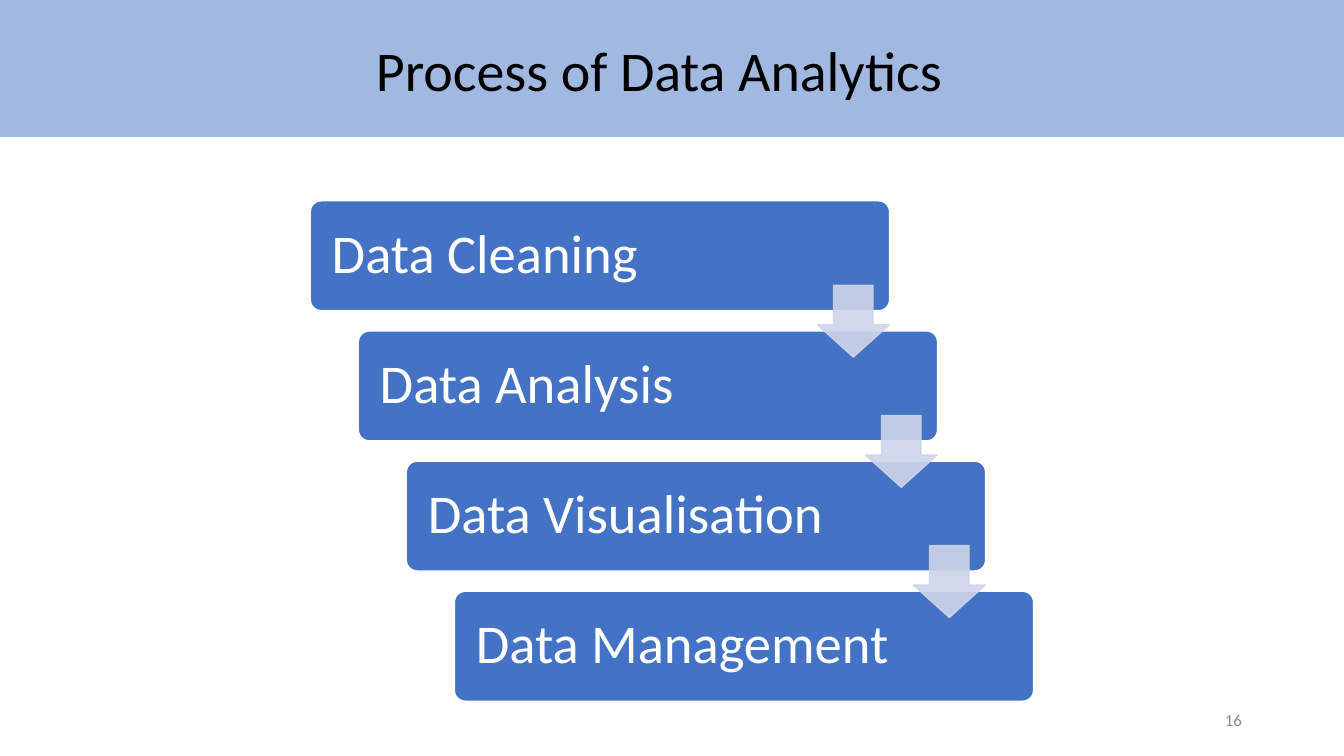
import pptx
import pptx.util
import pptx.dml.color
import pptx.enum.shapes
import pptx.enum.text
import pptx.oxml.ns
from lxml import etree

Cm, Pt = pptx.util.Cm, pptx.util.Pt
RGBColor = pptx.dml.color.RGBColor
MSO_SHAPE = pptx.enum.shapes.MSO_SHAPE
PP_ALIGN = pptx.enum.text.PP_ALIGN
MSO_ANCHOR = pptx.enum.text.MSO_ANCHOR
qn = pptx.oxml.ns.qn

TITLE = "Process of Data Analytics"
STEPS = ["Data Cleaning", "Data Analysis", "Data Visualisation", "Data Management"]
PAGE = "16"

BLUE = RGBColor(0x44, 0x72, 0xC4)
PALE = RGBColor(0xCF, 0xD5, 0xEA)
WHITE = RGBColor(0xFF, 0xFF, 0xFF)
BLACK = RGBColor(0, 0, 0)
GREY = RGBColor(0x8C, 0x8C, 0x8C)

SLIDE_W, SLIDE_H = 33.87, 19.05
BOX_X, BOX_Y, BOX_W, BOX_H = 7.82, 5.06, 14.6, 2.77
STEP_X, STEP_Y = 1.21, 3.28
ARROW_X, ARROW_Y, ARROW_SIZE = 20.6, 7.19, 1.81


def add_filled(shapes, kind, x, y, w, h, fill, line=None, opacity=100):
    sp = shapes.add_shape(kind, Cm(x), Cm(y), Cm(w), Cm(h))
    sp.shadow.inherit = False
    sp.fill.solid()
    sp.fill.fore_color.rgb = fill
    if line is None:
        sp.line.fill.background()
    else:
        sp.line.color.rgb = line
        sp.line.width = Pt(1)
    if opacity < 100:
        for clr in sp._element.spPr.iter(qn("a:srgbClr")):
            etree.SubElement(clr, qn("a:alpha"), val=str(opacity * 1000))
    return sp


def write(sp, text, size, color, align=PP_ALIGN.LEFT, anchor=MSO_ANCHOR.MIDDLE):
    tf = sp.text_frame
    tf.word_wrap = True
    tf.vertical_anchor = anchor
    tf.text = text
    p = tf.paragraphs[0]
    p.alignment = align
    p.line_spacing = 0.9
    p.font.size = Pt(size)
    p.font.name = "Calibri"
    p.font.color.rgb = color


prs = pptx.Presentation()
prs.slide_width, prs.slide_height = Cm(SLIDE_W), Cm(SLIDE_H)
slide = prs.slides.add_slide(prs.slide_layouts[5])
shapes = slide.shapes

title = shapes.title
band = add_filled(shapes, MSO_SHAPE.RECTANGLE, 0, 0, SLIDE_W, 3.45, BLUE, opacity=50)
title._element.addprevious(band._element)
title.left, title.top, title.width, title.height = Cm(9.22), Cm(0.76), Cm(15.44), Cm(1.96)
write(title, TITLE, 40, BLACK)
title.text_frame.paragraphs[0].line_spacing = 1.0

for i, step in enumerate(STEPS):
    box = add_filled(shapes, MSO_SHAPE.ROUNDED_RECTANGLE, BOX_X + i * STEP_X,
                     BOX_Y + i * STEP_Y, BOX_W, BOX_H, BLUE, WHITE)
    box.adjustments[0] = 0.1
    box.text_frame.margin_left = Cm(0.46)
    write(box, step, 39, WHITE)

for i in range(len(STEPS) - 1):
    arrow = add_filled(shapes, MSO_SHAPE.DOWN_ARROW, ARROW_X + i * STEP_X,
                       ARROW_Y + i * STEP_Y, ARROW_SIZE, ARROW_SIZE, PALE, PALE, 90)
    arrow.adjustments[0] = 0.55
    arrow.adjustments[1] = 0.45

number = shapes.add_textbox(Cm(23.93), Cm(17.65), Cm(7.62), Cm(1.02))
write(number, PAGE, 12, GREY, PP_ALIGN.RIGHT)

prs.save("out.pptx")
